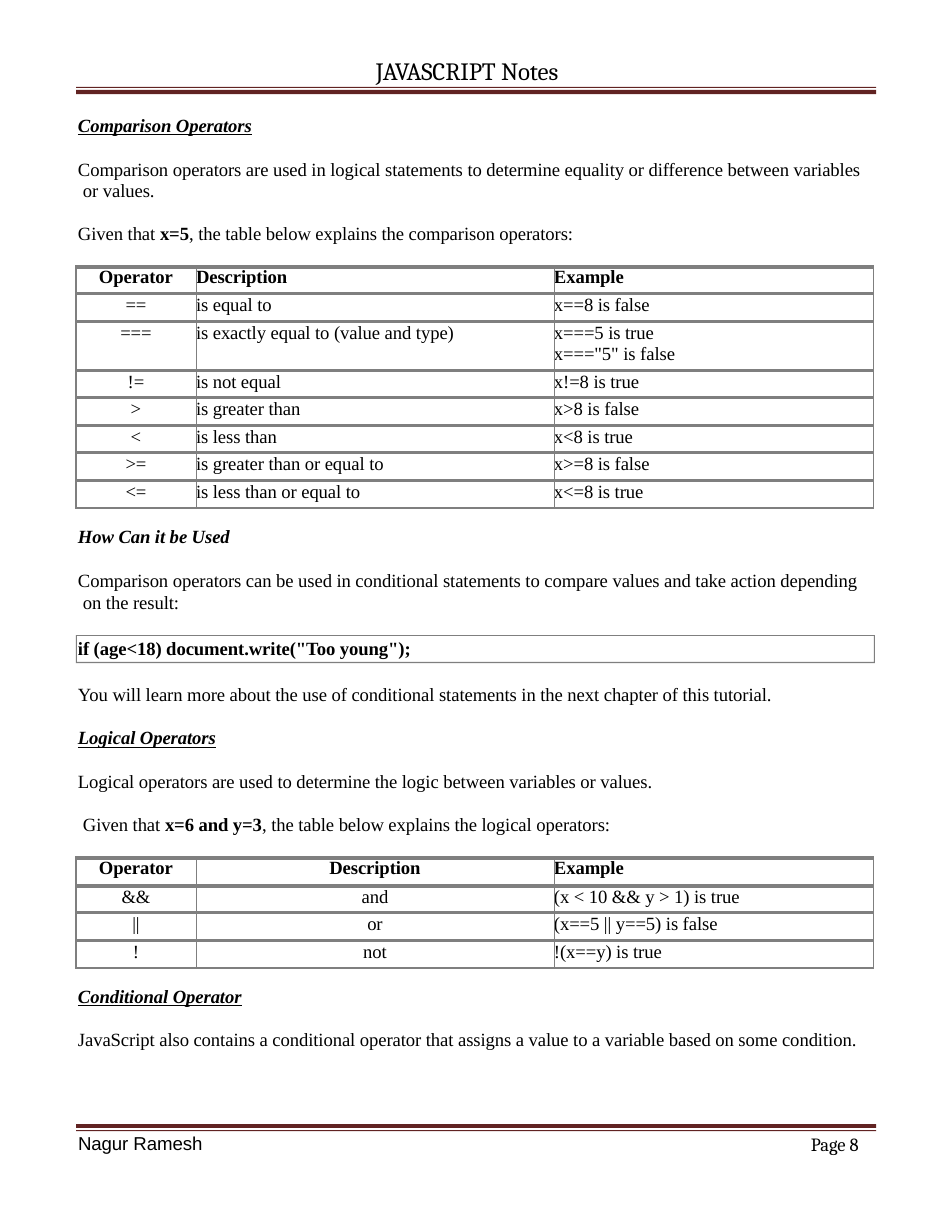
from lxml.etree import SubElement
from pptx import Presentation
from pptx.dml.color import RGBColor
from pptx.enum.text import MSO_ANCHOR as Anchor, MSO_AUTO_SIZE as AutoSize, PP_ALIGN as Align
from pptx.oxml.ns import qn
from pptx.util import Emu, Pt

SCALE = 914400 / 112
SERIF, HEADING, SANS = "Times New Roman", "Cambria", "Arial"
BLACK, MAROON, GRAY = "000000", "612322", "7F7F7F"
BREAK = "\n"


def px(length):
    return Emu(round(length * SCALE))


def color(hex_text):
    return RGBColor.from_string(hex_text)


class Page:
    """Holds the text style and the slide being built."""

    def __init__(self, slide, font=SERIF, size=12, tracking=-5):
        self.slide, self.font, self.size, self.tracking = slide, font, size, tracking

    def add_runs(self, paragraph, runs, font=None, size=None):
        """Each run is plain text or a (text, flags) pair with flags from b, i, u."""
        size = size or self.size
        for piece in runs:
            if piece == BREAK:
                paragraph.add_line_break()
                line_break = paragraph._p.findall(qn("a:br"))[-1]
                SubElement(line_break, qn("a:rPr"), sz=str(size * 100))
                continue
            words, flags = piece if isinstance(piece, tuple) else (piece, "")
            run = paragraph.add_run()
            run.text = words
            run.font.name, run.font.size = font or self.font, Pt(size)
            run.font.color.rgb = color(BLACK)
            run.font.bold, run.font.italic = "b" in flags, "i" in flags
            run.font.underline = "u" in flags
            run._r.get_or_add_rPr().set("spc", str(self.tracking))

    def frame(self, shape, box, wrap=True):
        shape.left, shape.top, shape.width, shape.height = map(px, box)
        text = shape.text_frame
        text.word_wrap, text.auto_size = wrap, AutoSize.NONE
        text.vertical_anchor = Anchor.TOP
        text.margin_left = text.margin_top = px(1)
        text.margin_right = text.margin_bottom = 0
        return text

    def title(self, box, words):
        paragraph = self.frame(self.slide.shapes.title, box, wrap=False).paragraphs[0]
        paragraph.alignment = Align.LEFT
        self.add_runs(paragraph, [words], HEADING, 16)

    def text(self, box, paragraphs, font=None):
        """Each paragraph is (runs, space before in points, line spacing)."""
        text = self.frame(self.slide.shapes.add_textbox(*map(px, box)), box)
        for index, (runs, before, spacing) in enumerate(paragraphs):
            paragraph = text.paragraphs[0] if index == 0 else text.add_paragraph()
            paragraph.space_before, paragraph.line_spacing = Pt(before), spacing
            if BREAK in runs:
                properties = paragraph._p.get_or_add_pPr()
                properties.set("marL", str(px(5)))
                properties.set("indent", str(-px(5)))
            self.add_runs(paragraph, runs, font)

    def outline(self, rectangles, fill):
        """One filled shape; a rectangle with left and right swapped is a hole."""
        left, top = rectangles[0][:2]
        builder = self.slide.shapes.build_freeform(left, top, scale=SCALE)
        for index, (x1, y1, x2, y2) in enumerate(rectangles):
            if index:
                builder.move_to(x1, y1)
            builder.add_line_segments([(x2, y1), (x2, y2), (x1, y2)], close=True)
        shape = builder.convert_to_shape()
        shape.shadow.inherit = False
        shape.fill.solid()
        shape.fill.fore_color.rgb = color(fill)
        shape.line.fill.background()

    def borders(self, cell, widths):
        properties = cell._tc.get_or_add_tcPr()
        for side, width in zip("LRTB", widths):
            line = SubElement(properties, qn(f"a:ln{side}"), w=str(Pt(width)))
            fill = SubElement(line, qn("a:solidFill"))
            SubElement(fill, qn("a:srgbClr"), val=GRAY)
        cell.fill.background()

    def table(self, left, top, columns, heights, rows, centered):
        table = self.slide.shapes.add_table(
            len(rows), len(columns),
            *map(px, (left, top, sum(columns), sum(heights)))).table
        table.first_row = table.horz_banding = False
        for column, width in zip(table.columns, columns):
            column.width = px(width)
        for r, (height, row) in enumerate(zip(heights, rows)):
            table.rows[r].height = px(height)
            for c, words in enumerate(row):
                cell = table.cell(r, c)
                cell.margin_left = cell.margin_right = 0
                cell.margin_top = cell.margin_bottom = 0
                bottom = 1 if r == len(rows) - 1 else 2.25
                self.borders(cell, (0.5 if c else 1, 0.5, 2.25, bottom))
                paragraph = cell.text_frame.paragraphs[0]
                paragraph.alignment = Align.CENTER if c in centered else Align.LEFT
                if r:
                    paragraph.line_spacing = Pt(13.7 if BREAK in words else 14.2)
                runs = [words] if isinstance(words, str) else words
                self.add_runs(paragraph, runs if r else [(words, "b")])


def main():
    deck = Presentation()
    deck.slide_width, deck.slide_height = px(952), px(1232)
    page = Page(deck.slides.add_slide(deck.slide_layouts[5]))

    # Header and footer
    page.title((375, 55, 203, 33), "JAVASCRIPT Notes")
    page.outline([(76, 90, 876, 94), (76, 87, 876, 88)], MAROON)
    page.outline([(76, 1124, 876, 1128), (76, 1130, 876, 1131)], MAROON)
    page.text((77, 1131, 140, 23), [(["Nagur Ramesh"], 0, Pt(14.2))], SANS)
    page.text((810, 1132, 68, 24), [(["Page 8"], 0, 1.0)], HEADING)

    # Comparison operators
    page.text((77, 113, 798, 133), [
        ([("Comparison Operators", "biu")], 0, 1.0),
        (["Comparison operators are used in logical statements to determine equality "
          "or difference between variables", BREAK, "or values."], 14.5, Pt(13.7)),
        (["Given that ", ("x=5", "b"),
          ", the table below explains the comparison operators:"], 13, 1.0),
    ])
    columns = (120, 358, 319)
    header = ("Operator", "Description", "Example")
    page.table(76, 267, columns, (27, 28, 49, 27, 28, 27, 28, 27), [
        header,
        ("==", "is equal to", "x==8 is false"),
        ("===", "is exactly equal to (value and type)",
         ("x===5 is true", BREAK, 'x==="5" is false')),
        ("!=", "is not equal", "x!=8 is true"),
        (">", "is greater than", "x>8 is false"),
        ("<", "is less than", "x<8 is true"),
        (">=", "is greater than or equal to", "x>=8 is false"),
        ("<=", "is less than or equal to", "x<=8 is true"),
    ], centered={0})

    # Usage, code sample and logical operators
    page.outline([(76, 635, 875, 663), (874, 636, 77, 662)], GRAY)
    page.text((77, 524, 798, 314), [
        ([("How Can it be Used", "bi")], 0, 1.0),
        (["Comparison operators can be used in conditional statements to compare "
          "values and take action depending", BREAK, "on the result:"], 14.3, Pt(13.9)),
        ([('if (age<18) document.write("Too young");', "b")], 15.3, 1.0),
        (["You will learn more about the use of conditional statements in the next "
          "chapter of this tutorial."], 15.6, 1.0),
        ([("Logical Operators", "biu")], 13.2, 1.0),
        (["Logical operators are used to determine the logic between variables or "
          "values.", BREAK, "Given that ", ("x=6 and y=3", "b"),
          ", the table below explains the logical operators:"], 0, 1.93),
    ])
    page.table(76, 858, columns, (28, 27, 28, 27), [
        header,
        ("&&", "and", "(x < 10 && y > 1) is true"),
        ("||", "or", "(x==5 || y==5) is false"),
        ("!", "not", "!(x==y) is true"),
    ], centered={0, 1})

    # Conditional operator
    page.text((77, 984, 798, 68), [
        ([("Conditional Operator", "biu")], 0, 1.0),
        (["JavaScript also contains a conditional operator that assigns a value to a "
          "variable based on some condition."], 13.4, 1.0),
    ])
    deck.save("out.pptx")


if __name__ == "__main__":
    main()
